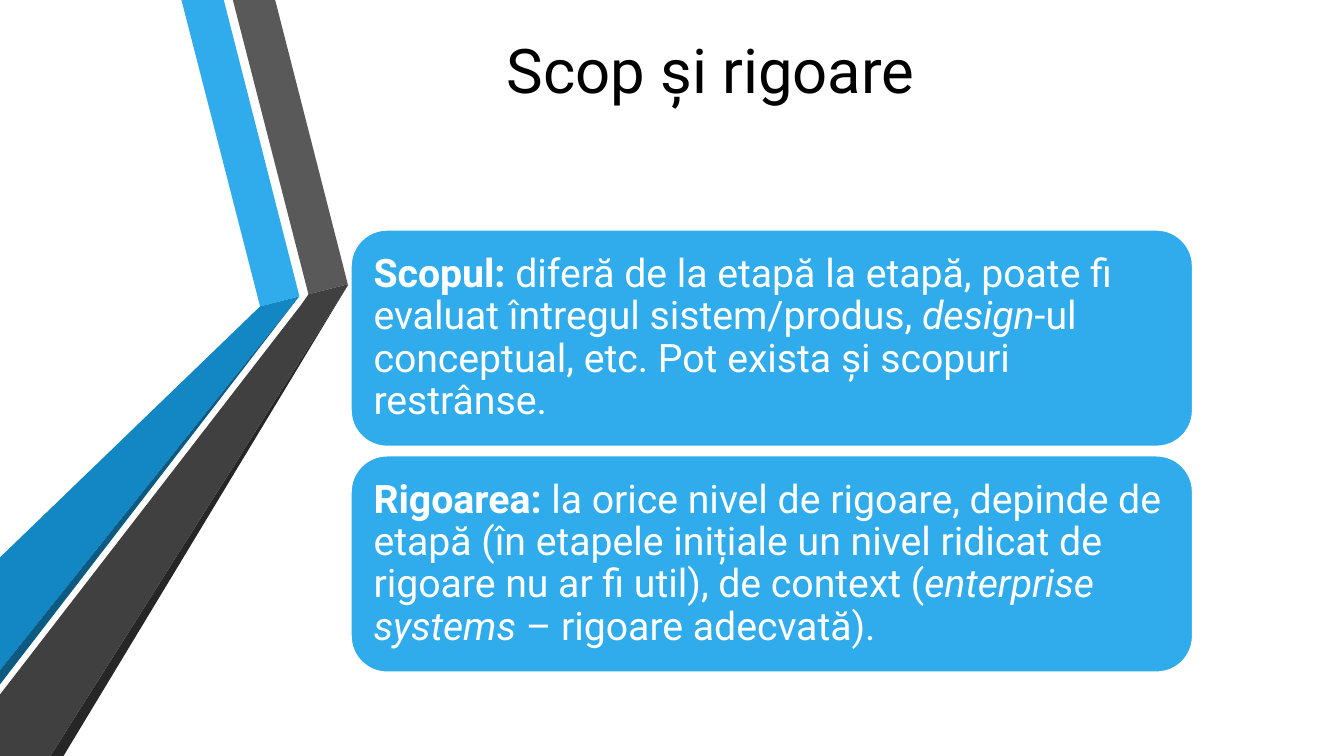
from pptx import Presentation
from pptx import util as u
from pptx.dml.color import RGBColor
from pptx.enum import shapes, text

COLORS = {
    "blue": "30ACEC", "mid blue": "1287C3", "deep blue": "0C5A82",
    "gray": "595959", "dark gray": "404040", "near black": "262626",
    "white": "FFFFFF", "black": "000000",
}
UNIT = u.Inches(0.01)  # grid cell: the slide is 1333 x 750 cells
WIDTH, HEIGHT = 1333, 750


def paint(sp, color):
    sp.shadow.inherit = False
    sp.fill.solid()
    sp.fill.fore_color.rgb = RGBColor.from_string(COLORS[color])


def add_run(p, words, color, **formats):
    r = p.add_run()
    r.text = words
    r.font.color.rgb = RGBColor.from_string(COLORS[color])
    for name, value in {"name": "Roboto", **formats}.items():
        setattr(r.font, name, value)


prs = Presentation()
prs.slide_width, prs.slide_height = WIDTH * UNIT, HEIGHT * UNIT
slide = prs.slides.add_slide(prs.slide_layouts[5])

# Title
title = slide.shapes.title
title_box = {"left": 308, "top": 24, "width": 794, "height": 88}
for name, cells in title_box.items():
    setattr(title, name, cells * UNIT)
tf = title.text_frame
tf.vertical_anchor = text.MSO_ANCHOR.MIDDLE
p = tf.paragraphs[0]
p.alignment = text.PP_ALIGN.CENTER
add_run(p, "Scop și rigoare", "black", size=u.Pt(44))

# Folded ribbons on the left, in grid cells
ribbons = [
    ("blue", [(297, 294), (258, 304), (180, 0), (222, 0)]),
    ("gray", [(306, 292), (231, 0), (273, 0), (345, 282)]),
    ("near black", [(345, 283), (63, HEIGHT), (50, HEIGHT)]),
    ("mid blue", [(297, 294), (296, 295), (0, 665), (0, 553), (258, 304)]),
    ("dark gray", [(345, 282), (345, 283), (50, HEIGHT), (0, HEIGHT),
                   (0, 689), (299, 302), (306, 292)]),
    ("deep blue", [(296, 295), (0, 679), (0, 665)]),
]
for color, points in ribbons:
    outline = slide.shapes.build_freeform(*points[0], scale=UNIT)
    outline.add_line_segments(points[1:], close=True)
    ribbon = outline.convert_to_shape()
    paint(ribbon, color)
    ribbon.line.fill.background()

# Stacked cards: each run is its words and the font style that it turns on
cards = [
    [("Scopul: ", "bold"),
     ("diferă de la etapă la etapă, poate fi evaluat întregul sistem/produs, ", None),
     ("design", "italic"),
     ("-ul conceptual, etc. Pot exista și scopuri restrânse.", None)],
    [("Rigoarea: ", "bold"),
     ("la orice nivel de rigoare, depinde de etapă (în etapele inițiale un nivel "
      "ridicat de rigoare nu ar fi util), de context (", None),
     ("enterprise systems ", "italic"),
     ("– rigoare adecvată).", None)],
]
CARD_LEFT, CARD_TOP, CARD_WIDTH, CARD_HEIGHT, CARD_GAP = 348, 228, 835, 215, 9
for row, runs in enumerate(cards):
    top = CARD_TOP + row * (CARD_HEIGHT + CARD_GAP)
    card = slide.shapes.add_shape(
        shapes.MSO_SHAPE.ROUNDED_RECTANGLE,
        CARD_LEFT * UNIT, top * UNIT, CARD_WIDTH * UNIT, CARD_HEIGHT * UNIT)
    paint(card, "blue")
    card.line.color.rgb = RGBColor.from_string(COLORS["white"])
    card.line.width = u.Pt(1.25)
    tf = card.text_frame
    tf.word_wrap = True
    tf.vertical_anchor = text.MSO_ANCHOR.MIDDLE
    for side in ("left", "right", "top", "bottom"):
        setattr(tf, f"margin_{side}", 12 * UNIT)
    p = tf.paragraphs[0]
    p.alignment = text.PP_ALIGN.LEFT
    p.line_spacing = 0.9
    for words, style in runs:
        formats = {"size": u.Pt(28)}
        if style:
            formats[style] = True
        add_run(p, words, "white", **formats)

prs.save("out.pptx")
